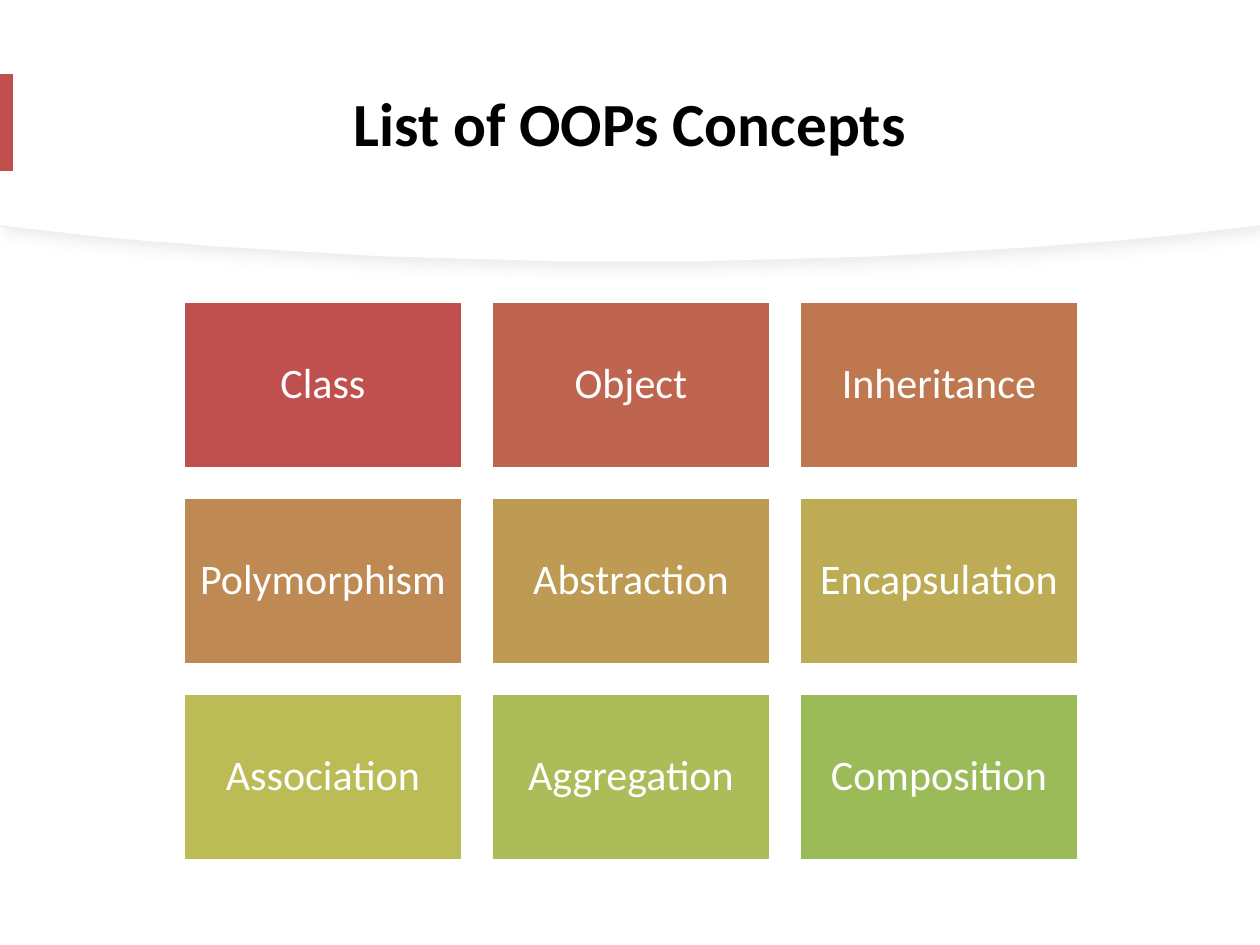
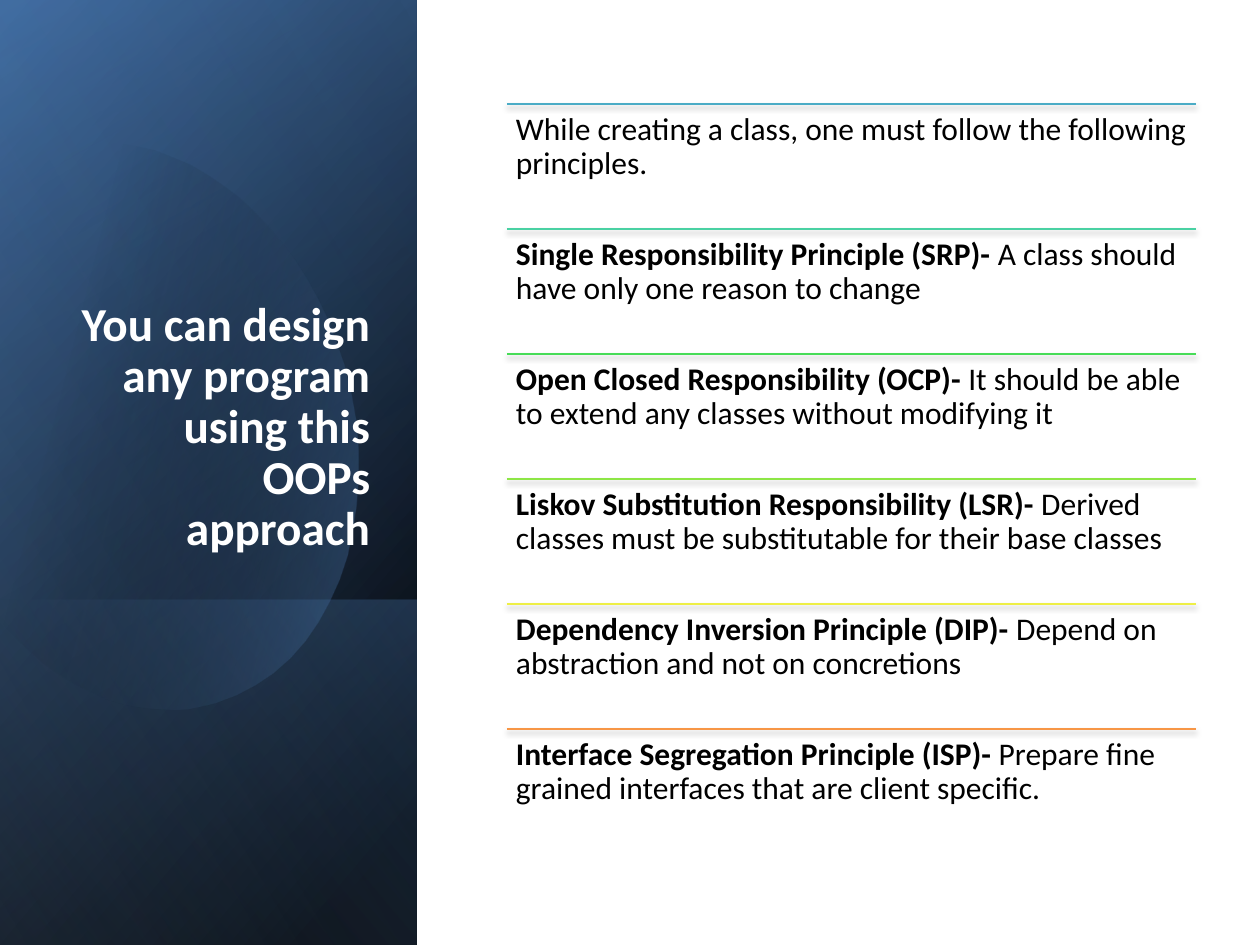
from dataclasses import dataclass

from lxml import etree
from pptx import Presentation
from pptx.dml.color import RGBColor
from pptx.enum.shapes import MSO_CONNECTOR, MSO_SHAPE
from pptx.enum.text import MSO_ANCHOR, PP_ALIGN
from pptx.oxml.ns import qn
from pptx.util import Pt

RECTANGLE = MSO_SHAPE.RECTANGLE
STRAIGHT = MSO_CONNECTOR.STRAIGHT
TOP, MIDDLE, BOTTOM = MSO_ANCHOR.TOP, MSO_ANCHOR.MIDDLE, MSO_ANCHOR.BOTTOM
LEFT, CENTER, RIGHT = PP_ALIGN.LEFT, PP_ALIGN.CENTER, PP_ALIGN.RIGHT
EMU_PER_PX = 914400 / 126
SLIDE_WIDTH, SLIDE_HEIGHT = 1260, 945


@dataclass(frozen=True)
class Theme:
    font: str = "Calibri"
    ink: str = "000000"
    paper: str = "FFFFFF"
    accent: str = "C0504D"
    blue: str = "4F81BD"
    deep_blue: str = "376092"
    pale_blue: str = "95B3D7"
    header_edge: str = "EFEFEF"
    header_shadow: str = "D9D9D9"
    title_size: int = 35
    side_title_size: int = 27
    tile_size: int = 24
    body_size: int = 18
    tight: float = 0.9


THEME = Theme()

# Content: concepts slide
CONCEPTS_TITLE = "List of OOPs Concepts"
CONCEPTS = [
    ("Class", "C0504D"), ("Object", "BF644F"), ("Inheritance", "BF7750"),
    ("Polymorphism", "BE8952"), ("Abstraction", "BD9B53"), ("Encapsulation", "BDAC55"),
    ("Association", "BCBC56"), ("Aggregation", "ABBC58"), ("Composition", "9BBB59"),
]

# Content: principles slide, as (bold lead, text, rule colour)
PRINCIPLES_TITLE = "You can design any program using this OOPs approach"
PRINCIPLES = [
    ("", "While creating a class, one must follow the following principles.", "4BACC6"),
    ("Single Responsibility Principle (SRP)-",
     " A class should have only one reason to change", "49D1A3"),
    ("Open Closed Responsibility (OCP)-",
     " It should be able to extend any classes without modifying it", "47DC57"),
    ("Liskov Substitution Responsibility (LSR)-",
     " Derived classes must be substitutable for their base classes", "8DE646"),
    ("Dependency Inversion Principle (DIP)-",
     " Depend on abstraction and not on concretions", "EEEF46"),
    ("Interface Segregation Principle (ISP)-",
     " Prepare fine grained interfaces that are client specific.", "F79646"),
]

# Layout, in px
HEADER_CURVE = [((1007, 252), (823, 262), (630, 262)),
                ((437, 262), (253, 252), (87, 236))]
TILE_LEFT, TILE_TOP, TILE_WIDTH, TILE_HEIGHT = 183, 301, 280, 168
TILE_COLUMNS, TILE_GAP = 3, 28
PANEL_WIDTH, PANEL_SPLIT = 417, 600
BLOB_START = (121, 144)
BLOB_RIGHT = [((215, 154), (307, 242), (344, 365)),
              ((387, 519), (330, 669), (215, 702)),
              ((144, 723), (67, 693), (9, 630))]
BLOB_LEFT = [(-4, 615), (-32, 209), (-19, 194)]
BLOB_TOP = [((3, 172), (28, 156), (57, 149)), ((78, 142), (100, 141), (121, 144))]
RULE_LEFT, RULE_TOP, RULE_WIDTH, RULE_PITCH = 507, 104, 689, 125

# Panel gradients, as (position, colour, opacity) stops and an angle
PANEL_BASE = ([(8, THEME.ink, 100), (100, THEME.deep_blue, 100)], 50)
PANEL_GLOW = ([(0, THEME.ink, 0), (99, THEME.blue, 46)], 30)
PANEL_FOOT = ([(2, THEME.blue, 29), (100, THEME.ink, 30)], 130)
PANEL_BLOB = ([(29, THEME.ink, 0), (100, THEME.blue, 43)], 14)
PANEL_VEIL = ([(0, THEME.ink, 0), (99, THEME.pale_blue, 11)], 120)


def px(length):
    return round(length * EMU_PER_PX)


def rgb(color):
    return RGBColor.from_string(color)


def add_color(parent, color, opacity):
    node = etree.SubElement(parent, qn("a:srgbClr"), val=color)
    etree.SubElement(node, qn("a:alpha"), val=str(opacity * 1000))


def finish_effects(shape, shadow=None):
    """Append the effect list; shadow is colour, opacity, blur, distance, angle."""
    effects = etree.SubElement(shape._element.spPr, qn("a:effectLst"))
    if shadow:
        color, opacity, blur, distance, angle = shadow
        outer = etree.SubElement(
            effects, qn("a:outerShdw"), blurRad=str(Pt(blur)), dist=str(Pt(distance)),
            dir=str(angle * 60000), algn="tl", rotWithShape="0")
        add_color(outer, color, opacity)


def paint(shape, color, line=None, line_width=0, shadow=None):
    shape.fill.solid()
    shape.fill.fore_color.rgb = rgb(color)
    if line:
        shape.line.color.rgb = rgb(line)
        shape.line.width = Pt(line_width)
    else:
        shape.line.fill.background()
    finish_effects(shape, shadow)


def paint_gradient(shape, gradient):
    stops, angle = gradient
    shape.fill.background()
    properties = shape._element.spPr
    fill = etree.Element(qn("a:gradFill"), rotWithShape="1")
    stop_list = etree.SubElement(fill, qn("a:gsLst"))
    for position, color, opacity in stops:
        stop = etree.SubElement(stop_list, qn("a:gs"), pos=str(position * 1000))
        add_color(stop, color, opacity)
    etree.SubElement(fill, qn("a:lin"), ang=str(angle * 60000), scaled="0")
    properties.replace(properties.find(qn("a:noFill")), fill)
    shape.line.fill.background()
    finish_effects(shape)


def add_rectangle(slide, left, top, width, height):
    return slide.shapes.add_shape(RECTANGLE, px(left), px(top), px(width), px(height))


def write(shape, runs, size, color, align=LEFT, anchor=TOP, spacing=1.0, insets=(13, 6)):
    """Write one paragraph of (text, bold) runs."""
    frame = shape.text_frame
    frame.word_wrap = True
    frame.vertical_anchor = anchor
    frame.margin_left = frame.margin_right = px(insets[0])
    frame.margin_top = frame.margin_bottom = px(insets[1])
    paragraph = frame.paragraphs[0]
    paragraph.alignment = align
    paragraph.line_spacing = spacing
    paragraph.font.name = THEME.font
    paragraph.font.size = Pt(size)
    paragraph.font.color.rgb = rgb(color)
    for text, bold in runs:
        run = paragraph.add_run()
        run.text = text
        run.font.bold = bold


def add_text(slide, left, top, width, height, runs, size, color, **style):
    box = slide.shapes.add_textbox(px(left), px(top), px(width), px(height))
    write(box, runs, size, color, **style)


def trace(start, curves, steps=16):
    """Points along joined cubic curves, each (control, control, end)."""
    points = []
    for first, second, end in curves:
        for step in range(1, steps + 1):
            t = step / steps
            u = 1 - t
            points.append(tuple(
                u**3 * a + 3 * u * u * t * b + 3 * u * t * t * c + t**3 * d
                for a, b, c, d in zip(start, first, second, end)))
        start = end
    return points


def add_outline(slide, points):
    builder = slide.shapes.build_freeform(*points[0], scale=EMU_PER_PX)
    builder.add_line_segments(points[1:], close=True)
    return builder.convert_to_shape()


def add_header(slide):
    curve = [(SLIDE_WIDTH, 226), (1173, 236), *trace((1173, 236), HEADER_CURVE), (0, 226)]
    for lift, style in (
            (0, dict(line=THEME.header_edge, line_width=0.75,
                     shadow=(THEME.header_shadow, 50, 7, 3, 45))),
            (1, {})):
        points = [(0, 0), (SLIDE_WIDTH, 0), *((x, y - lift) for x, y in curve)]
        paint(add_outline(slide, points), THEME.paper, **style)


def add_panel_layer(slide, top, gradient):
    """Fill the panel from top to the slide's foot with a turned, mirrored rectangle."""
    length = SLIDE_HEIGHT - top
    layer = add_rectangle(slide, (PANEL_WIDTH - length) / 2,
                          top + (length - PANEL_WIDTH) / 2, length, PANEL_WIDTH)
    layer.rotation = 90
    layer._element.spPr.find(qn("a:xfrm")).set("flipH", "1")
    paint_gradient(layer, gradient)


def build_concepts(slide):
    add_header(slide)
    add_text(slide, 87, 35, 1086, 175, [(CONCEPTS_TITLE, True)], THEME.title_size,
             THEME.ink, align=CENTER, anchor=MIDDLE)
    paint(add_rectangle(slide, 0, 74, 13, 97), THEME.accent)

    # Tile grid
    for index, (name, color) in enumerate(CONCEPTS):
        row, column = divmod(index, TILE_COLUMNS)
        tile = add_rectangle(slide, TILE_LEFT + column * (TILE_WIDTH + TILE_GAP),
                             TILE_TOP + row * (TILE_HEIGHT + TILE_GAP),
                             TILE_WIDTH, TILE_HEIGHT)
        paint(tile, color, line=THEME.paper, line_width=2)
        write(tile, [(name, False)], THEME.tile_size, THEME.paper, align=CENTER,
              anchor=MIDDLE, spacing=THEME.tight, insets=(13, 13))


def build_principles(slide):
    # Side panel
    add_panel_layer(slide, 0, PANEL_BASE)
    add_panel_layer(slide, 0, PANEL_GLOW)
    add_panel_layer(slide, PANEL_SPLIT, PANEL_FOOT)
    blob = [BLOB_START, *trace(BLOB_START, BLOB_RIGHT), *BLOB_LEFT,
            *trace(BLOB_LEFT[-1], BLOB_TOP)]
    paint_gradient(add_outline(slide, blob), PANEL_BLOB)
    add_panel_layer(slide, 0, PANEL_VEIL)
    add_text(slide, 60, 232, 323, 330, [(PRINCIPLES_TITLE, True)], THEME.side_title_size,
             THEME.paper, align=RIGHT, anchor=BOTTOM, spacing=THEME.tight)

    # Ruled list
    for index, (lead, text, color) in enumerate(PRINCIPLES):
        top = RULE_TOP + index * RULE_PITCH
        rule = slide.shapes.add_connector(STRAIGHT, px(RULE_LEFT), px(top),
                                          px(RULE_LEFT + RULE_WIDTH), px(top))
        rule.line.color.rgb = rgb(color)
        rule.line.width = Pt(0.75)
        finish_effects(rule, (THEME.ink, 35, 3.1, 1.8, 90))
        runs = [(lead, True), (text, False)] if lead else [(text, False)]
        add_text(slide, RULE_LEFT, top, RULE_WIDTH, RULE_PITCH, runs, THEME.body_size,
                 THEME.ink, spacing=THEME.tight, insets=(9, 9))


def main():
    presentation = Presentation()
    presentation.slide_width = px(SLIDE_WIDTH)
    presentation.slide_height = px(SLIDE_HEIGHT)
    blank = presentation.slide_layouts[6]
    for build in (build_concepts, build_principles):
        build(presentation.slides.add_slide(blank))
    presentation.save("out.pptx")


if __name__ == "__main__":
    main()
